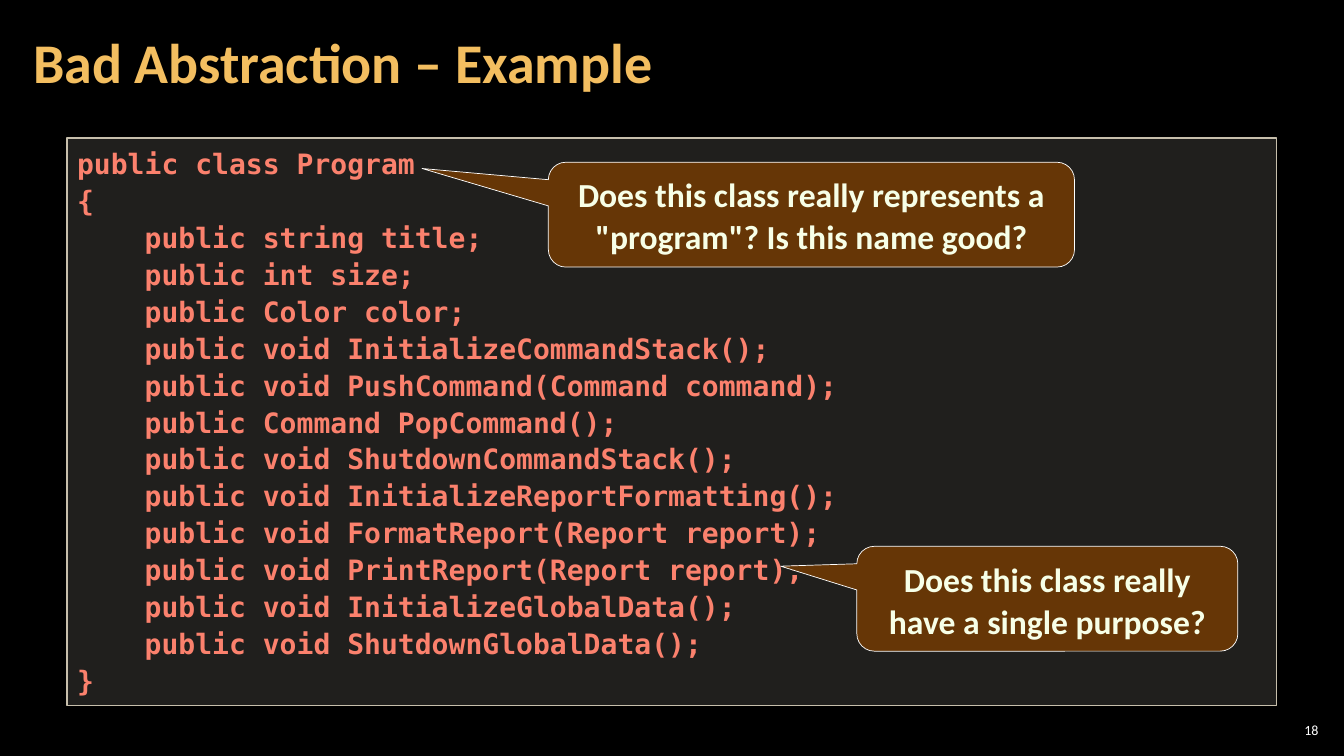
from lxml import etree
from pptx import Presentation
from pptx import util as u
from pptx.dml import color
from pptx.enum import shapes, text
from pptx.oxml import ns

THEME = {
    "background": "000000", "title": "F3BE60", "code": "FB816D",
    "panel": "D9D5C7", "panel_line": "C7BFAC", "panel_alpha": 15,
    "callout": "663606", "callout_line": "FFFFFF", "callout_text": "F7FFE7",
    "number": "FFFFFF", "body_font": "Calibri", "code_font": "DejaVu Sans Mono",
    "title_size": 40, "code_size": 20, "callout_size": 24, "number_size": 10,
}
COLUMNS, ROWS = 160, 90
SHAPE = shapes.MSO_SHAPE
ALIGN = text.PP_ALIGN
ANCHOR = text.MSO_ANCHOR

presentation = Presentation()
presentation.slide_width = u.Inches(13.33)
presentation.slide_height = u.Inches(7.5)
slide = presentation.slides.add_slide(presentation.slide_layouts[6])
slide.background.fill.solid()
slide.background.fill.fore_color.rgb = color.RGBColor.from_string(THEME["background"])


def add_box(area, kind=None, fill=None, line=None, weight=1):
    """Add a text box, or a filled shape, placed in grid columns and rows."""
    column = presentation.slide_width / COLUMNS
    row = presentation.slide_height / ROWS
    place = [round(length * unit) for length, unit in zip(area, (column, row) * 2)]
    if kind is None:
        return slide.shapes.add_textbox(*place)
    shape = slide.shapes.add_shape(kind, *place)
    shape.shadow.inherit = False
    shape.fill.solid()
    shape.fill.fore_color.rgb = color.RGBColor.from_string(fill)
    shape.line.color.rgb = color.RGBColor.from_string(line)
    shape.line.width = u.Pt(weight)
    return shape


def write(shape, lines, role, font="body_font", bold=True, frame=None, layout=None):
    """Fill a shape with one paragraph per line in the style of a theme role."""
    text_frame = shape.text_frame
    frame_format = {"word_wrap": True, "vertical_anchor": ANCHOR.MIDDLE, **(frame or {})}
    for name, value in frame_format.items():
        setattr(text_frame, name, value)
    for index, line in enumerate(lines):
        paragraph = text_frame.paragraphs[0] if index == 0 else text_frame.add_paragraph()
        for name, value in (layout or {}).items():
            setattr(paragraph, name, value)
        run = paragraph.add_run()
        run.text = line
        font_format = {"name": THEME[font], "size": u.Pt(THEME[role + "_size"]), "bold": bold}
        for name, value in font_format.items():
            setattr(run.font, name, value)
        run.font.color.rgb = color.RGBColor.from_string(THEME[role if role in THEME else role + "_text"]
                                                        if role != "callout" else THEME["callout_text"])


# Slide number
small = u.Inches(0.04)
number_frame = {"margin_" + side: small for side in ("left", "top", "right", "bottom")}
write(add_box((151.8, 85.68, 5.64, 2.52)), ["18"], "number", bold=False,
      frame=number_frame, layout={"alignment": ALIGN.RIGHT})

# Title
title_frame = {"margin_left": u.Inches(0.12), "margin_right": u.Inches(0.12),
               "margin_top": small, "margin_bottom": small}
write(add_box((2.5, 0.5, 125.6, 14.5)), ["Bad Abstraction – Example"], "title",
      frame=title_frame, layout={"alignment": ALIGN.LEFT, "line_spacing": 0.9})

# Code panel with a translucent fill
code = """public class Program
{
    public string title;
    public int size;
    public Color color;
    public void InitializeCommandStack();
    public void PushCommand(Command command);
    public Command PopCommand();
    public void ShutdownCommandStack();
    public void InitializeReportFormatting();
    public void FormatReport(Report report);
    public void PrintReport(Report report);
    public void InitializeGlobalData();
    public void ShutdownGlobalData();
}"""
panel = add_box((8, 16.44, 144, 67.56), SHAPE.RECTANGLE, THEME["panel"], THEME["panel_line"])
panel_color = panel.fill._xPr.find(ns.qn("a:solidFill"))[0]
etree.SubElement(panel_color, ns.qn("a:alpha"), val=str(THEME["panel_alpha"] * 1000))
write(panel, code.splitlines(), "code", font="code_font",
      frame={"vertical_anchor": ANCHOR.TOP},
      layout={"alignment": ALIGN.LEFT, "line_spacing": 1.1})

# Callouts: area, pointer tip as shares of the shape, question
callouts = [
    ((65.28, 19.32, 62.64, 12.48), (-0.74, -0.44),
     'Does this class really represents a "program"? Is this name good?'),
    ((102, 65.04, 45.36, 12.48), (-0.7, -0.31),
     "Does this class really have a single purpose?"),
]
for area, tip, question in callouts:
    callout = add_box(area, SHAPE.ROUNDED_RECTANGULAR_CALLOUT, THEME["callout"],
                      THEME["callout_line"], 0.5)
    callout.adjustments[0], callout.adjustments[1] = tip
    write(callout, [question], "callout",
          layout={"alignment": ALIGN.CENTER, "line_spacing": u.Pt(30)})

presentation.save("out.pptx")
